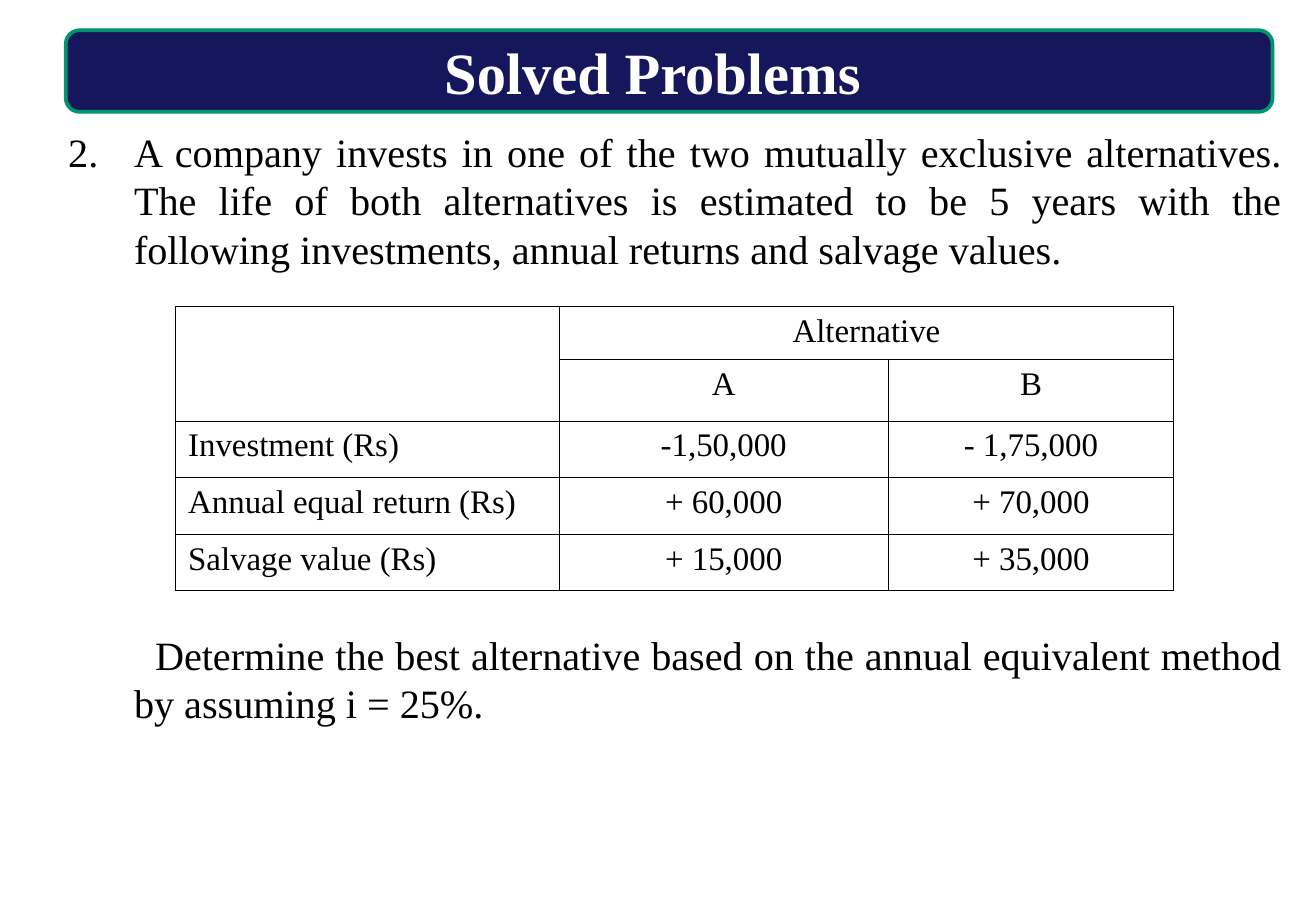
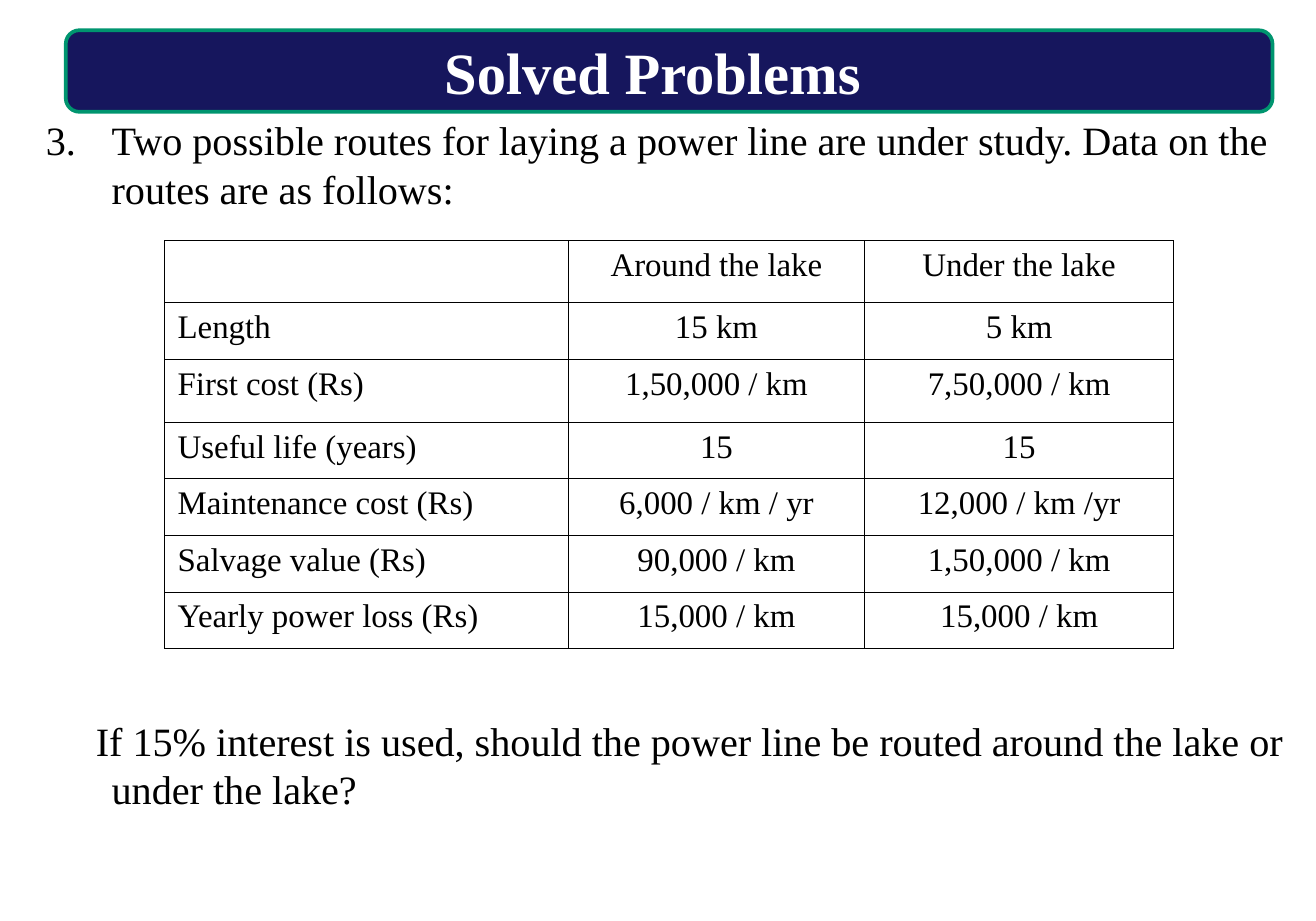
from dataclasses import dataclass
from typing import Any

import lxml.etree
import pptx
import pptx.dml.color
import pptx.enum.shapes
import pptx.enum.text
import pptx.oxml.ns
import pptx.util

PX = 9144  # EMU per px, 100 px to the inch
FONT = "Times New Roman"
COLORS = {"band": "16165D", "edge": "00956F", "title": "FFFFFF", "text": "000000"}
ALIGN = pptx.enum.text.PP_ALIGN
BODY_FORMAT = {"line_spacing": pptx.util.Pt(26.4), "space_after": pptx.util.Pt(12)}
HANG = 50  # indent of the problem text, px

Box = tuple[int, int, int, int]


@dataclass(frozen=True)
class Grid:
    left: int
    top: int
    cols: tuple[int, ...]
    heights: tuple[int, ...]
    rows: tuple[tuple[str, ...], ...]
    merges: tuple[Box, ...] = ()  # first row, first column, last row, last column


@dataclass(frozen=True)
class Problem:
    number: int
    box: Box
    statement: str
    question: str
    question_indent: int  # first line, relative to HANG
    gap: int  # points kept free for the table
    align: Any
    grid: Grid


PROBLEMS = (
    Problem(
        2, (42, 92, 942, 575),
        "A company invests in one of the two mutually exclusive alternatives. "
        "The life of both alternatives is estimated to be 5 years with the "
        "following investments, annual returns and salvage values.",
        "Determine the best alternative based on the annual equivalent method "
        "by assuming i = 25%.",
        16, 184, ALIGN.JUSTIFY,
        Grid(133, 233, (292, 250, 217), (40, 47, 43, 43, 43), (
            ("", "Alternative", ""),
            ("", "A", "B"),
            ("Investment (Rs)", "-1,50,000", "- 1,75,000"),
            ("Annual equal return (Rs)", "+ 60,000", "+ 70,000"),
            ("Salvage value (Rs)", "+ 15,000", "+ 35,000"),
        ), ((0, 0, 1, 0), (0, 1, 0, 2))),
    ),
    Problem(
        3, (25, 83, 975, 575),
        "Two possible routes for laying a power line are under study. "
        "Data on the routes are as follows:",
        "If 15% interest is used, should the power line be routed around "
        "the lake or under the lake?",
        -12, 264, ALIGN.LEFT,
        Grid(125, 183, (307, 225, 235), (47, 43, 48, 43, 43, 43, 43), (
            ("", "Around the lake", "Under the lake"),
            ("Length", "15 km", "5 km"),
            ("First cost (Rs)", "1,50,000 / km", "7,50,000 / km"),
            ("Useful life (years)", "15", "15"),
            ("Maintenance cost (Rs)", "6,000 / km / yr", "12,000 / km /yr"),
            ("Salvage value (Rs)", "90,000 / km", "1,50,000 / km"),
            ("Yearly power loss (Rs)", "15,000 / km", "15,000 / km"),
        )),
    ),
)


def emu(*lengths: int) -> list[int]:
    return [n * PX for n in lengths]


def rgb(name: str) -> pptx.dml.color.RGBColor:
    return pptx.dml.color.RGBColor.from_string(COLORS[name])


def apply(obj: Any, values: dict[str, Any]) -> None:
    for name, value in values.items():
        setattr(obj, name, value)


def sub(parent: Any, tag: str, **attrs: str) -> Any:
    return lxml.etree.SubElement(parent, pptx.oxml.ns.qn(tag), attrs)


def write(p: Any, text: str, size: int, color: str = "text", bold: bool = False,
          **paragraph: Any) -> None:
    apply(p, paragraph)
    r = p.add_run()
    r.text = text
    apply(r.font, {"name": FONT, "size": pptx.util.Pt(size), "bold": bold})
    r.font.color.rgb = rgb(color)


def add_title(s: Any, text: str) -> None:
    # Rounded band
    band = s.shapes.add_shape(
        pptx.enum.shapes.MSO_SHAPE.ROUNDED_RECTANGLE, *emu(50, 23, 917, 62))
    band.shadow.inherit = False
    band.fill.solid()
    band.fill.fore_color.rgb = rgb("band")
    band.line.color.rgb = rgb("edge")
    band.line.width = pptx.util.Pt(2)

    # Title placeholder, in front of the band
    sp = s.shapes.title
    band.element.addnext(sp.element)
    apply(sp, dict(zip(("left", "top", "width", "height"), emu(73, 22, 846, 47))))
    tf = sp.text_frame
    apply(tf, {"word_wrap": True, "auto_size": pptx.enum.text.MSO_AUTO_SIZE.NONE,
               "vertical_anchor": pptx.enum.text.MSO_ANCHOR.TOP})
    write(tf.paragraphs[0], text, 32, "title", True, alignment=ALIGN.CENTER,
          line_spacing=pptx.util.Pt(38.4))


def set_indent(p: Any, first: int) -> Any:
    pPr = p._p.get_or_add_pPr()
    pPr.set("marL", str(HANG * PX))
    pPr.set("indent", str(first * PX))
    return pPr


def add_body(s: Any, problem: Problem) -> None:
    tf = s.shapes.add_textbox(*emu(*problem.box)).text_frame
    tf.word_wrap = True

    # Numbered statement
    p = tf.paragraphs[0]
    write(p, problem.statement, 22, alignment=problem.align, **BODY_FORMAT)
    pPr = set_indent(p, -HANG)
    sub(sub(pPr, "a:buClr"), "a:srgbClr", val=COLORS["text"])
    sub(pPr, "a:buAutoNum", type="arabicPeriod", startAt=str(problem.number))

    # Question below the table
    p = tf.add_paragraph()
    write(p, problem.question, 22, alignment=problem.align,
          space_before=pptx.util.Pt(problem.gap), **BODY_FORMAT)
    set_indent(p, problem.question_indent)


def add_borders(cell: Any) -> None:
    tcPr = cell._tc.get_or_add_tcPr()
    for i, side in enumerate(("a:lnL", "a:lnR", "a:lnT", "a:lnB")):
        ln = sub(tcPr, side, w=str(pptx.util.Pt(0.45)))
        sub(sub(ln, "a:solidFill"), "a:srgbClr", val=COLORS["text"])
        tcPr.insert(i, ln)  # borders come before the fill


def add_grid(s: Any, grid: Grid) -> None:
    tbl = s.shapes.add_table(
        len(grid.rows), len(grid.cols),
        *emu(grid.left, grid.top, sum(grid.cols), sum(grid.heights))).table
    apply(tbl, {"first_row": False, "horz_banding": False})
    for col, width in zip(tbl.columns, grid.cols):
        col.width = width * PX
    for row, height in zip(tbl.rows, grid.heights):
        row.height = height * PX

    for i, texts in enumerate(grid.rows):
        for j, text in enumerate(texts):
            cell = tbl.cell(i, j)
            cell.fill.background()
            add_borders(cell)
            if text:
                write(cell.text_frame.paragraphs[0], text, 18,
                      alignment=ALIGN.CENTER if j else ALIGN.LEFT)
    for top, left, bottom, right in grid.merges:
        tbl.cell(top, left).merge(tbl.cell(bottom, right))


def main() -> None:
    prs = pptx.Presentation()
    prs.slide_width, prs.slide_height = emu(1000, 700)
    title_only = prs.slide_layouts.get_by_name("Title Only")
    for problem in PROBLEMS:
        s = prs.slides.add_slide(title_only)
        add_title(s, "Solved Problems")
        add_body(s, problem)
        add_grid(s, problem.grid)
    prs.save("out.pptx")


if __name__ == "__main__":
    main()
